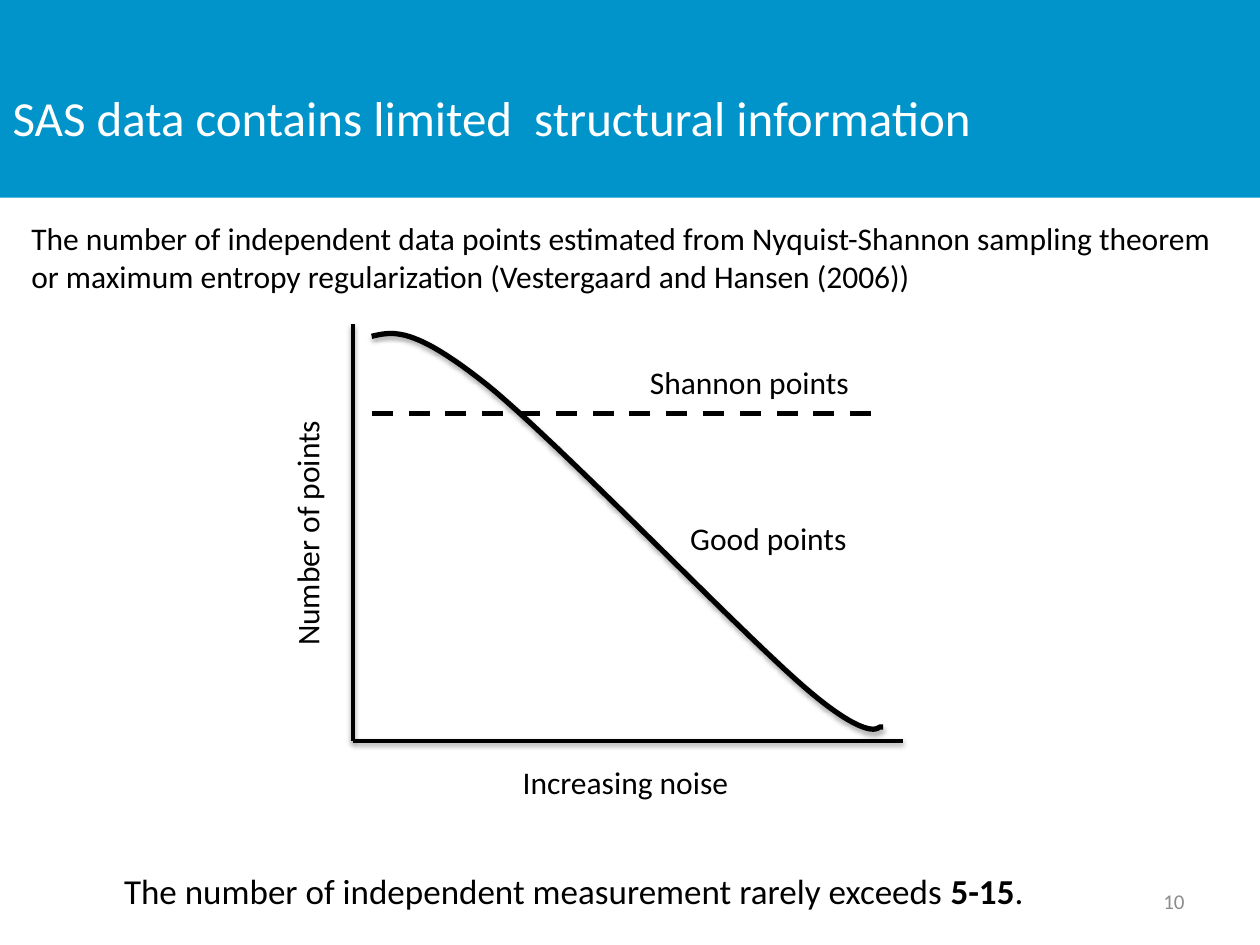
from lxml import etree
from pptx import Presentation
from pptx.dml.color import RGBColor
from pptx.enum import dml, shapes, text
from pptx.oxml import ns
from pptx.util import Inches, Pt

BLUE = RGBColor(0x00, 0x94, 0xCA)
BLACK = RGBColor(0, 0, 0)
WHITE = RGBColor(255, 255, 255)
GRAY = RGBColor(0x8C, 0x8C, 0x8C)


def add_label(content, left, top, width, height, size=18, color=BLACK, wrap=False):
    sp = s.shapes.add_textbox(Inches(left), Inches(top), Inches(width), Inches(height))
    tf = sp.text_frame
    tf.word_wrap = wrap
    p = tf.paragraphs[0]
    p.text = content
    p.font.name = "Calibri"
    p.font.size = Pt(size)
    p.font.color.rgb = color
    return sp


def style_line(sp, width, shadow_alpha=0, distance=1.6):
    sp.line.color.rgb = BLACK
    sp.line.width = Pt(width)
    effects = etree.SubElement(sp._element.spPr, ns.qn("a:effectLst"))
    if shadow_alpha:
        shadow = etree.SubElement(effects, ns.qn("a:outerShdw"), blurRad=str(Pt(3.1)),
                                  dist=str(Pt(distance)), dir="5400000", rotWithShape="0")
        clr = etree.SubElement(shadow, ns.qn("a:srgbClr"), val=str(BLACK))
        etree.SubElement(clr, ns.qn("a:alpha"), val=str(shadow_alpha * 1000))


prs = Presentation()
prs.slide_width, prs.slide_height = Inches(10), Inches(7.5)
s = prs.slides.add_slide(prs.slide_layouts[5])

banner = s.shapes.add_shape(shapes.MSO_SHAPE.RECTANGLE, 0, 0, Inches(10), Inches(1.57))
banner.shadow.inherit = False
banner.fill.solid()
banner.fill.fore_color.rgb = BLUE
banner.line.fill.background()
s.shapes._spTree.insert(2, banner._element)

title = s.shapes.title
title.left, title.top, title.width, title.height = Inches(0), Inches(0.3), Inches(8.31), Inches(1.25)
tf = title.text_frame
tf.text = "SAS data contains limited  structural information"
tf.vertical_anchor = text.MSO_ANCHOR.MIDDLE
p = tf.paragraphs[0]
p.alignment = text.PP_ALIGN.LEFT
p.font.name = "Calibri"
p.font.size = Pt(28)
p.font.color.rgb = WHITE

number = add_label("10", 7.17, 6.95, 2.33, 0.4, size=12, color=GRAY, wrap=True)
number.text_frame.vertical_anchor = text.MSO_ANCHOR.MIDDLE
number.text_frame.paragraphs[0].alignment = text.PP_ALIGN.RIGHT

add_label("The number of independent data points estimated from Nyquist-Shannon sampling theorem "
          "or maximum entropy regularization (Vestergaard and Hansen (2006))",
          0.15, 1.69, 9.74, 0.71, wrap=True)

y_label = add_label("Number of points", 1.43, 4.02, 2.01, 0.4)
y_label.rotation = 270
x_label = add_label("Increasing noise", 4.05, 6.01, 1.85, 0.4)
x_label.fill.solid()
x_label.fill.fore_color.rgb = WHITE

summary = add_label("The number of independent measurement rarely exceeds ",
                    0.67, 6.85, 7.83, 0.44, size=20, wrap=True)
p = summary.text_frame.paragraphs[0]
p.alignment = text.PP_ALIGN.CENTER
for content, bold in (("5-15", True), (". ", False)):
    r = p.add_run()
    r.text = content
    r.font.bold = bold

for x1, y1, x2, y2, width, alpha in ((2.8, 5.88, 7.17, 5.88, 2, 38),
                                     (2.8, 5.88, 2.8, 2.57, 2, 38),
                                     (2.95, 3.28, 6.97, 3.28, 3, 0)):
    line = s.shapes.add_connector(shapes.MSO_CONNECTOR.STRAIGHT,
                                  Inches(x1), Inches(y1), Inches(x2), Inches(y2))
    style_line(line, width, alpha)
line.line.dash_style = dml.MSO_LINE.DASH

start = (2.95, 2.67)
beziers = [((3.12, 2.63), (3.28, 2.59), (3.86, 3.05)),
           ((4.43, 3.51), (5.86, 5), (6.38, 5.45)),
           ((6.9, 5.9), (6.98, 5.77), (6.98, 5.77))]
steps = 24
points = [start]
for b, c, d in beziers:
    a = points[-1]
    for i in range(1, steps + 1):
        t = i / steps
        weights = ((1 - t) ** 3, 3 * t * (1 - t) ** 2, 3 * t ** 2 * (1 - t), t ** 3)
        points.append(tuple(sum(w * v for w, v in zip(weights, axis)) for axis in zip(a, b, c, d)))
points.append((7.01, 5.77))

fb = s.shapes.build_freeform(Inches(start[0]), Inches(start[1]))
fb.add_line_segments([(Inches(x), Inches(y)) for x, y in points[1:]], close=False)
curve = fb.convert_to_shape()
curve.fill.background()
style_line(curve, 3, 35, 1.8)

add_label("Shannon points", 5.06, 2.83, 1.8, 0.4)
add_label("Good points", 5.38, 4.07, 1.46, 0.4)

prs.save("out.pptx")
